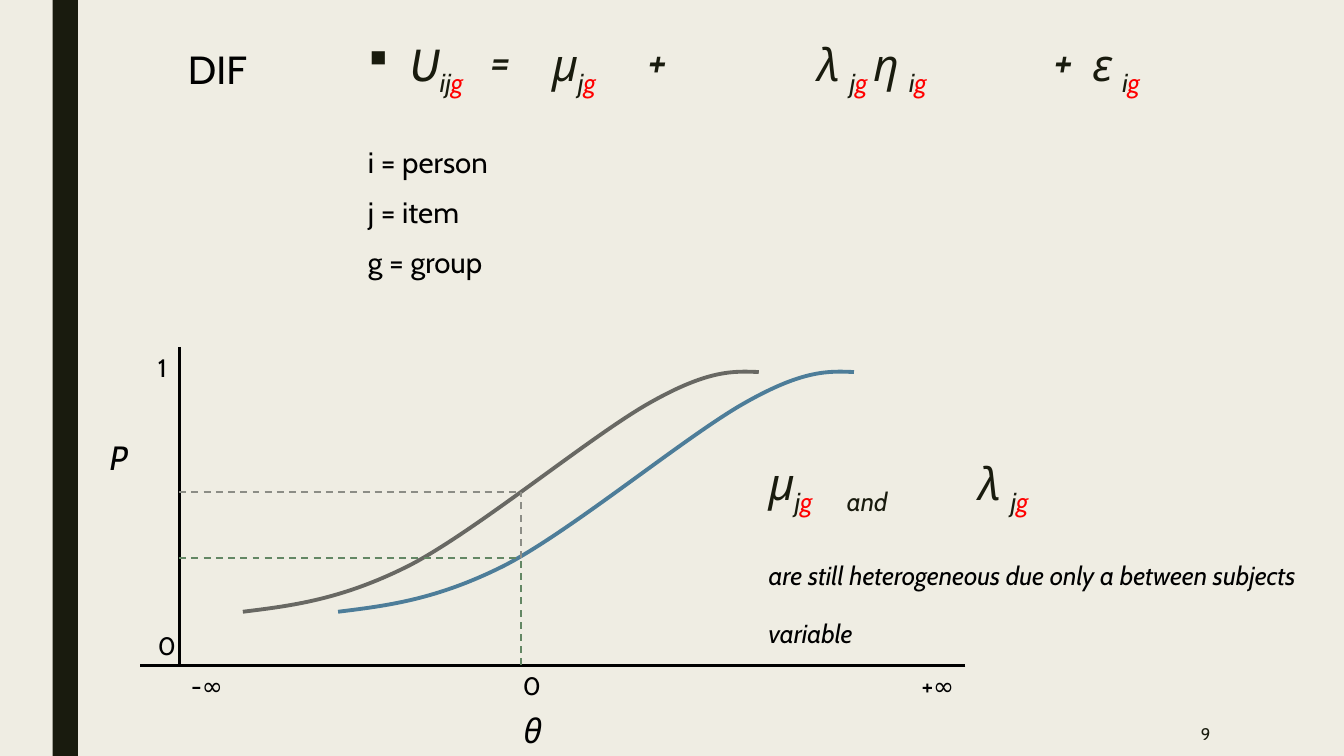
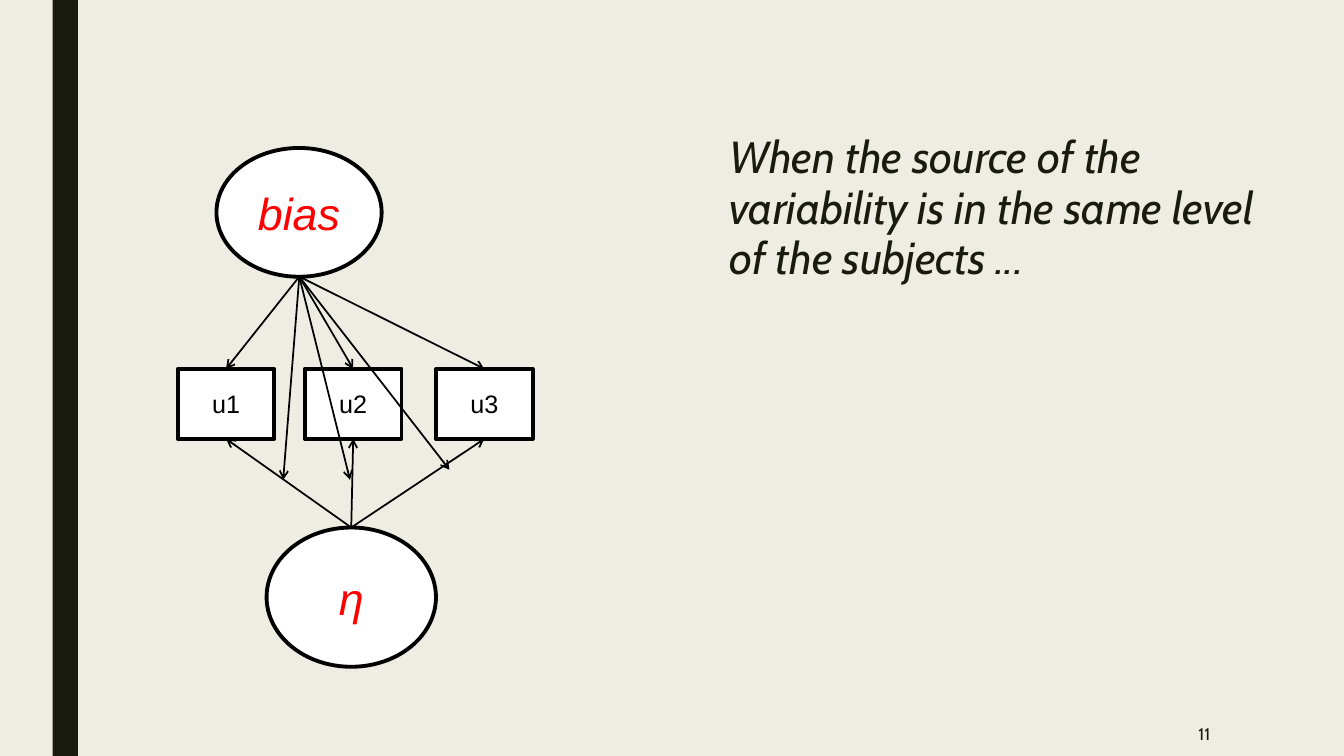
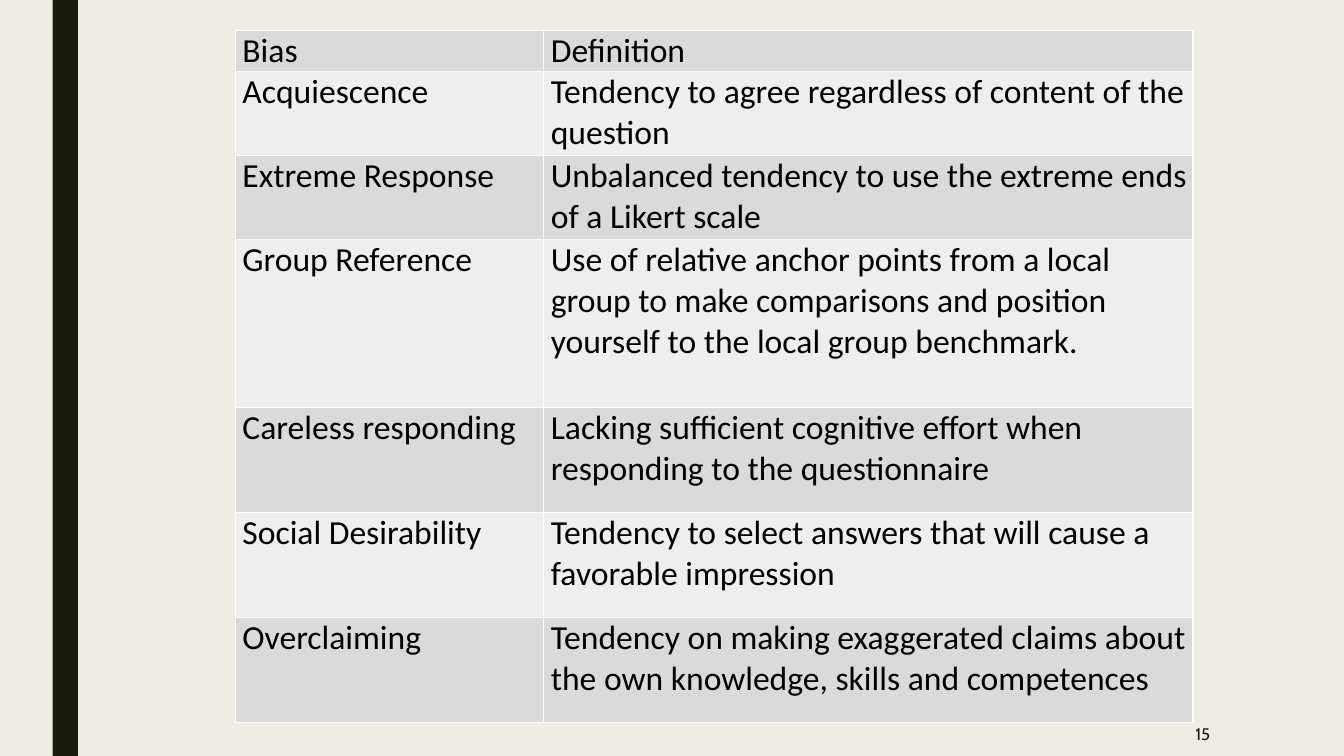
from dataclasses import dataclass

from lxml import etree
from pptx import Presentation
from pptx.dml.color import RGBColor
from pptx.enum.dml import MSO_LINE
from pptx.enum.shapes import MSO_CONNECTOR, MSO_SHAPE
from pptx.enum.text import MSO_ANCHOR, MSO_AUTO_SIZE, PP_ALIGN
from pptx.oxml.ns import qn
from pptx.util import Pt

LEFT, MID, RIGHT = PP_ALIGN.LEFT, PP_ALIGN.CENTER, PP_ALIGN.RIGHT
TOP, CENTER = MSO_ANCHOR.TOP, MSO_ANCHOR.MIDDLE
RECT, OVAL = MSO_SHAPE.RECTANGLE, MSO_SHAPE.OVAL
LINE, DASH = MSO_CONNECTOR.STRAIGHT, MSO_LINE.DASH
TITLED, BLANK = 5, 6


@dataclass(frozen=True)
class Theme:
    paper: str = "EFEDE3"
    ink: str = "191B0E"
    black: str = "000000"
    white: str = "FFFFFF"
    red: str = "FF0000"
    gray: str = "686863"
    blue: str = "4D7D99"
    ash: str = "8C8D86"
    green: str = "638764"
    odd: str = "DADBD9"
    even: str = "EEEEED"
    font: str = "Cabin"
    plain: str = "Arial"
    grid: str = "Calibri"
    huge: int = 32
    head: int = 28
    large: int = 24
    body: int = 21
    low: float = 18.5
    mark: int = 18
    foot: int = 12


THEME = Theme()


def rgb(code):
    return RGBColor.from_string(code)


def pts(values):
    return [Pt(v) for v in values]


def write(para, text, size=THEME.mark, color=THEME.black, font=THEME.font,
          slant=False, sub=False):
    run = para.add_run()
    run.text = text
    run.font.size = Pt(size)
    run.font.name = font
    run.font.italic = slant
    run.font.color.rgb = rgb(color)
    if sub:
        run._r.get_or_add_rPr().set("baseline", "-25000")


def tune(para, left, hang=0, bullet=None):
    props = para._p.get_or_add_pPr()
    props.set("marL", str(Pt(left)))
    props.set("indent", str(Pt(-hang)))
    if bullet:
        etree.SubElement(props, qn("a:buFont"), typeface="Wingdings")
        etree.SubElement(props, qn("a:buChar"), char=bullet)


class Deck:
    def __init__(self, theme):
        self.theme = theme
        self.file = Presentation()
        self.file.slide_width, self.file.slide_height = pts((960, 540))
        self.slide = None

    def page(self, number, title=None):
        first = self.slide is None
        layout = self.file.slide_layouts[TITLED if title else BLANK]
        self.slide = self.file.slides.add_slide(layout)
        if first:
            self.base()
        if title:
            self.title(title)
        self.box((745.6, 508.5, 126, 31.5), number, align=RIGHT, anchor=CENTER,
                 size=self.theme.foot, color=self.theme.ink)

    def base(self):
        master = self.file.slide_master
        master.background.fill.solid()
        master.background.fill.fore_color.rgb = rgb(self.theme.paper)
        band = self.shape(RECT, (37.6, 0, 18, 540), fill=self.theme.ink)
        band.element.nvSpPr.cNvPr.set("id", "99")
        master.shapes.element.insert(2, band.element)

    def title(self, text):
        head = self.slide.shapes.title
        head.left, head.top, head.width, head.height = pts((55, 32.4, 648, 124.5))
        frame = head.text_frame
        frame.vertical_anchor = TOP
        frame.auto_size = MSO_AUTO_SIZE.NONE
        para = frame.paragraphs[0]
        para.alignment = LEFT
        para.line_spacing = 0.9
        tune(para, 72)
        write(para, text, size=self.theme.head)

    def frame(self, rect, anchor=TOP):
        frame = self.slide.shapes.add_textbox(*pts(rect)).text_frame
        frame.word_wrap = True
        frame.vertical_anchor = anchor
        return frame

    def box(self, rect, *lines, align=LEFT, anchor=TOP, space=None,
            before=0, after=0, **style):
        frame = self.frame(rect, anchor)
        for i, text in enumerate(lines):
            para = frame.add_paragraph() if i else frame.paragraphs[0]
            para.alignment = align
            para.space_before = Pt(before if i else 0)
            para.space_after = Pt(after)
            if space:
                para.line_spacing = space
            write(para, text, **style)

    def math(self, rect, *terms, bullet=None):
        frame = self.frame(rect)
        para = frame.paragraphs[0]
        para.line_spacing = 0.94
        para.space_after = Pt(2)
        if bullet:
            tune(para, 30, 30, bullet)
        style = {"size": self.theme.huge, "slant": True}
        for term in terms:
            sign, mark, tail = term.partition("_")
            write(para, sign, color=self.theme.ink, **style)
            if mark:
                index = tail.rstrip()
                write(para, index, color=self.theme.ink, sub=True, **style)
                write(para, "g" + tail[len(index):], color=self.theme.red,
                      sub=True, **style)
        return frame

    def shape(self, kind, rect, text=None, fill=None, edge=None, **style):
        item = self.slide.shapes.add_shape(kind, *pts(rect))
        item.shadow.inherit = False
        item.fill.solid()
        item.fill.fore_color.rgb = rgb(fill or self.theme.white)
        if edge:
            item.line.color.rgb = rgb(edge)
            item.line.width = Pt(2.75)
        else:
            item.line.fill.background()
        if text:
            frame = item.text_frame
            frame.vertical_anchor = CENTER
            frame.paragraphs[0].alignment = MID
            write(frame.paragraphs[0], text, font=self.theme.plain, **style)
        return item

    def line(self, start, end, color=THEME.black, width=1.25, dash=False,
             arrow=False, source=None, target=None):
        item = self.slide.shapes.add_connector(LINE, *pts(start + end))
        item.line.color.rgb = rgb(color)
        item.line.width = Pt(width)
        if dash:
            item.line.dash_style = DASH
        if source:
            item.begin_connect(*source)
        if target:
            item.end_connect(*target)
        props = item.element.spPr
        if arrow:
            etree.SubElement(props.find(qn("a:ln")), qn("a:tailEnd"), type="arrow")
        etree.SubElement(props, qn("a:effectLst"))

    def curve(self, knots, color, shift=0):
        start, *rest = [pts((x + shift, y)) for x, y in knots]
        path = self.slide.shapes.build_freeform(*start)
        path.add_line_segments(rest, close=False)
        item = path.convert_to_shape()
        item.shadow.inherit = False
        item.fill.background()
        item.line.color.rgb = rgb(color)
        item.line.width = Pt(2.75)
        route = next(item.element.iter(qn("a:path")))
        legs = route.findall(qn("a:lnTo"))
        for k in range(0, len(legs), 3):
            bend = etree.SubElement(route, qn("a:cubicBezTo"))
            for leg in legs[k:k + 3]:
                bend.append(leg[0])
                route.remove(leg)

    def table(self, spot, cols, tall, rows):
        rect = (*spot, sum(cols), sum(tall))
        item = self.slide.shapes.add_table(len(rows), len(cols), *pts(rect))
        grid = item.table
        grid.first_row = grid.horz_banding = False
        for col, width in zip(grid.columns, cols):
            col.width = Pt(width)
        for r, (row, height) in enumerate(zip(rows, tall)):
            grid.rows[r].height = Pt(height)
            for c, text in enumerate(row):
                self.cell(grid.cell(r, c), text, r)

    def cell(self, cell, text, r):
        props = cell._tc.get_or_add_tcPr()
        for side in ("lnL", "lnR", "lnT", "lnB"):
            rule = etree.SubElement(props, qn("a:" + side), w=str(Pt(1)))
            paint = etree.SubElement(rule, qn("a:solidFill"))
            etree.SubElement(paint, qn("a:srgbClr"), val=self.theme.white)
        cell.fill.solid()
        cell.fill.fore_color.rgb = rgb(self.theme.even if r % 2 else self.theme.odd)
        cell.margin_left, cell.margin_right = pts((5, 4))
        cell.margin_top = cell.margin_bottom = 0
        cell.vertical_anchor = TOP if r else CENTER
        write(cell.text_frame.paragraphs[0], text, size=self.theme.large,
              font=self.theme.grid)


def shift(deck):
    look = deck.theme
    deck.page("9", "DIF")
    knots = [(173.5, 437), (208.5, 432.7), (244, 428.4), (292.5, 403.9),
             (341, 378.7), (423.5, 310.3), (465, 287.3), (506, 264.2),
             (524, 265), (542, 265.8)]
    deck.curve(knots, look.gray)
    deck.curve(knots, look.blue, shift=68)
    axis, floor, zero = 128, 475.3, 372
    deck.line((axis, 247.7), (axis, floor), width=2)
    deck.line((689.5, floor), (100, floor), width=2)
    deck.box((71.3, 308.8, 28, 36), "P", size=look.large, slant=True)
    for x, y, text in ((105.8, 446.4, "0"), (105.8, 247.9, "1"), (366.5, floor, "0")):
        deck.box((x, y, 28, 29), text)
    for x, text in ((122.4, "-∞"), (644.4, "+∞")):
        deck.box((x, floor, 51, 29), text, align=MID)
    deck.box((355, 503.8, 51, 36), "θ", align=MID, size=look.large, slant=True)
    for y, base, color in ((351.4, 398.7, look.ash), (398.7, floor, look.green)):
        deck.line((axis, y), (zero, y), color, dash=True)
        deck.line((zero, base), (zero, y), color, dash=True)
    top, high = 22.8, 87
    deck.math((255.8, top, 84, high), "U_ij", bullet="§")
    for x, wide, *terms in ((343.5, 40, "="), (387.2, 60, "μ_j"), (456.4, 40, "+"),
                            (577, 120, "λ _j ", "η _i"), (746.4, 30, "+"),
                            (773, 80, "ε _i")):
        deck.math((x, top, wide, high), *terms)
    deck.box((255.8, 99.4, 546, 102), "i = person", "j = item", "g = group",
             size=look.body, before=4.4, after=6)
    note = deck.math((542, 321.8, 418, 125), "μ_j")
    para = note.add_paragraph()
    para.line_spacing = 0.94
    para.space_before, para.space_after = pts((10, 2))
    write(para, "are still heterogeneous due only a between subjects variable",
          size=look.huge, slant=True, sub=True)
    deck.box((597.8, 343.4, 60, 30), "and", size=look.low, color=look.ink, slant=True)
    deck.math((692, 321.8, 80, 50), "λ _j")


def model(deck):
    look = deck.theme
    deck.page("11")
    big = {"edge": look.black, "size": look.huge, "color": look.red, "slant": True}
    deck.shape(OVAL, (154.6, 105.7, 118, 92), "bias", **big)
    trait = deck.shape(OVAL, (190.4, 376.8, 121, 99.5), "η", **big)
    root, crown = (213.8, 197.6), (250.9, 376.8)
    top, wide, high = 263.5, 69, 50
    for n, x in enumerate((127, 217.8, 311.5), 1):
        item = deck.shape(RECT, (x, top, wide, high), f"u{n}", edge=look.black)
        mid = x + wide / 2
        deck.line(root, (mid, top), arrow=True, target=(item, 0))
        deck.line(crown, (mid, top + high), arrow=True,
                  source=(trait, 0), target=(item, 2))
    for end in ((321, 335.5), (250, 342.7), (202.3, 342.7)):
        deck.line(root, end, arrow=True)
    deck.box((514, 91.6, 418, 125),
             "When the source of the variability is in the same level "
             "of the subjects ...",
             space=0.94, size=look.huge, color=look.ink, slant=True)


def biases(deck):
    deck.page("15")
    rows = [
        ("Bias", "Definition"),
        ("Acquiescence",
         "Tendency to agree regardless of content of the question"),
        ("Extreme Response",
         "Unbalanced tendency to use the extreme ends of a Likert scale"),
        ("Group Reference",
         "Use of relative anchor points from a local group to make comparisons "
         "and position yourself to the local group benchmark."),
        ("Careless responding",
         "Lacking sufficient cognitive effort when responding to the questionnaire"),
        ("Social Desirability",
         "Tendency to select answers that will cause a favorable impression"),
        ("Overclaiming",
         "Tendency on making exaggerated claims about the own knowledge, "
         "skills and competences"),
    ]
    deck.table((168.2, 21.9), (220.3, 463.7), (29.3, 60, 60, 120, 75, 75, 75), rows)


def main():
    deck = Deck(THEME)
    shift(deck)
    model(deck)
    biases(deck)
    deck.file.save("out.pptx")


if __name__ == "__main__":
    main()
